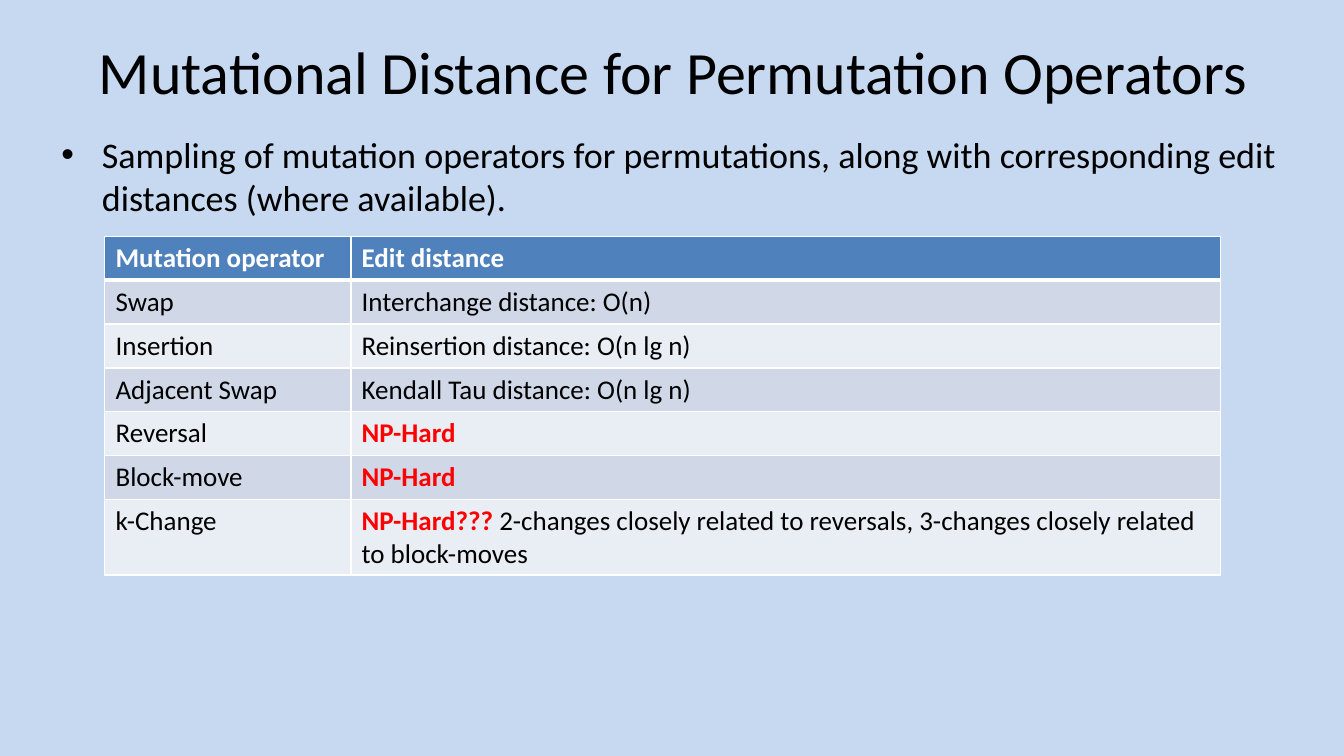
from lxml import etree
from pptx import Presentation
from pptx.dml.color import RGBColor
from pptx.enum.text import MSO_ANCHOR, PP_ALIGN
from pptx.oxml.ns import qn
from pptx.util import Pt

CENTER = PP_ALIGN.CENTER
MIDDLE = MSO_ANCHOR.MIDDLE
FONT = "Calibri"
COLORS = {
    "background": "C6D9F1", "text": "000000", "alert": "FF0000", "white": "FFFFFF",
    "header": "4F81BD", "odd": "D0D8E8", "even": "E9EDF4",
}


def set_font(font, size, color, bold=False):
    font.name, font.size, font.bold = FONT, Pt(size), bold
    font.color.rgb = RGBColor.from_string(COLORS[color])


def add_border(cell_properties, side, width):
    line = etree.SubElement(cell_properties, qn(f"a:{side}"), w=str(Pt(width)))
    fill = etree.SubElement(line, qn("a:solidFill"))
    etree.SubElement(fill, qn("a:srgbClr"), val=COLORS["white"])


# Slide and background
deck = Presentation()
deck.slide_width, deck.slide_height = Pt(895.68), Pt(504)
slide = deck.slides.add_slide(deck.slide_layouts[5])
slide.background.fill.solid()
slide.background.fill.fore_color.rgb = RGBColor.from_string(COLORS["background"])

# Title
title = slide.shapes.title
title.left, title.top, title.width, title.height = Pt(33.84), Pt(20.16), Pt(829.44), Pt(54)
title.text_frame.text = "Mutational Distance for Permutation Operators"
title.text_frame.vertical_anchor = MIDDLE
para = title.text_frame.paragraphs[0]
para.alignment = CENTER
set_font(para.font, 40, "text")

# Bulleted introduction
body = slide.shapes.add_textbox(Pt(33.84), Pt(84.96), Pt(829.44), Pt(342.72))
body.text_frame.word_wrap = True
para = body.text_frame.paragraphs[0]
para.text = ("Sampling of mutation operators for permutations, along with "
             "corresponding edit distances (where available).")
para.space_before = Pt(4.8)
set_font(para.font, 24, "text")
properties = para._p.get_or_add_pPr()
properties.set("marL", str(Pt(27)))
properties.set("indent", str(-Pt(27)))
bullet_font = etree.Element(qn("a:buFont"), typeface="Arial")
bullet = etree.Element(qn("a:buChar"), char="•")
properties.find(qn("a:spcBef")).addnext(bullet_font)
bullet_font.addnext(bullet)

# Table content: operator, highlighted text, plain text
rows = [
    ("Mutation operator", "", "Edit distance"),
    ("Swap", "", "Interchange distance: O(n)"),
    ("Insertion", "", "Reinsertion distance: O(n lg n)"),
    ("Adjacent Swap", "", "Kendall Tau distance: O(n lg n)"),
    ("Reversal", "NP-Hard", ""),
    ("Block-move", "NP-Hard", ""),
    ("k-Change", "NP-Hard??? ",
     "2-changes closely related to reversals, 3-changes closely related to block-moves"),
]
table = slide.shapes.add_table(len(rows), 2, Pt(69.84), Pt(157.68), Pt(743.4), Pt(204.4)).table
table.columns[0].width, table.columns[1].width = Pt(164), Pt(579.4)

for row_index, (operator, highlight, plain) in enumerate(rows):
    is_header = row_index == 0
    fill_name = "header" if is_header else "odd" if row_index % 2 else "even"
    table.rows[row_index].height = Pt(29.2)
    for column, parts in enumerate([("", operator), (highlight, plain)]):
        cell = table.cell(row_index, column)
        para = cell.text_frame.paragraphs[0]
        for text, color in zip(parts, ("alert", "white" if is_header else "text")):
            if text:
                span = para.add_run()
                span.text = text
                set_font(span.font, 18, color, is_header or color == "alert")
        cell_properties = cell._tc.get_or_add_tcPr()
        for side in ("lnL", "lnR", "lnT", "lnB"):
            thick = (is_header and side == "lnB") or (row_index == 1 and side == "lnT")
            add_border(cell_properties, side, 3 if thick else 1)
        cell.fill.solid()
        cell.fill.fore_color.rgb = RGBColor.from_string(COLORS[fill_name])

deck.save("out.pptx")
